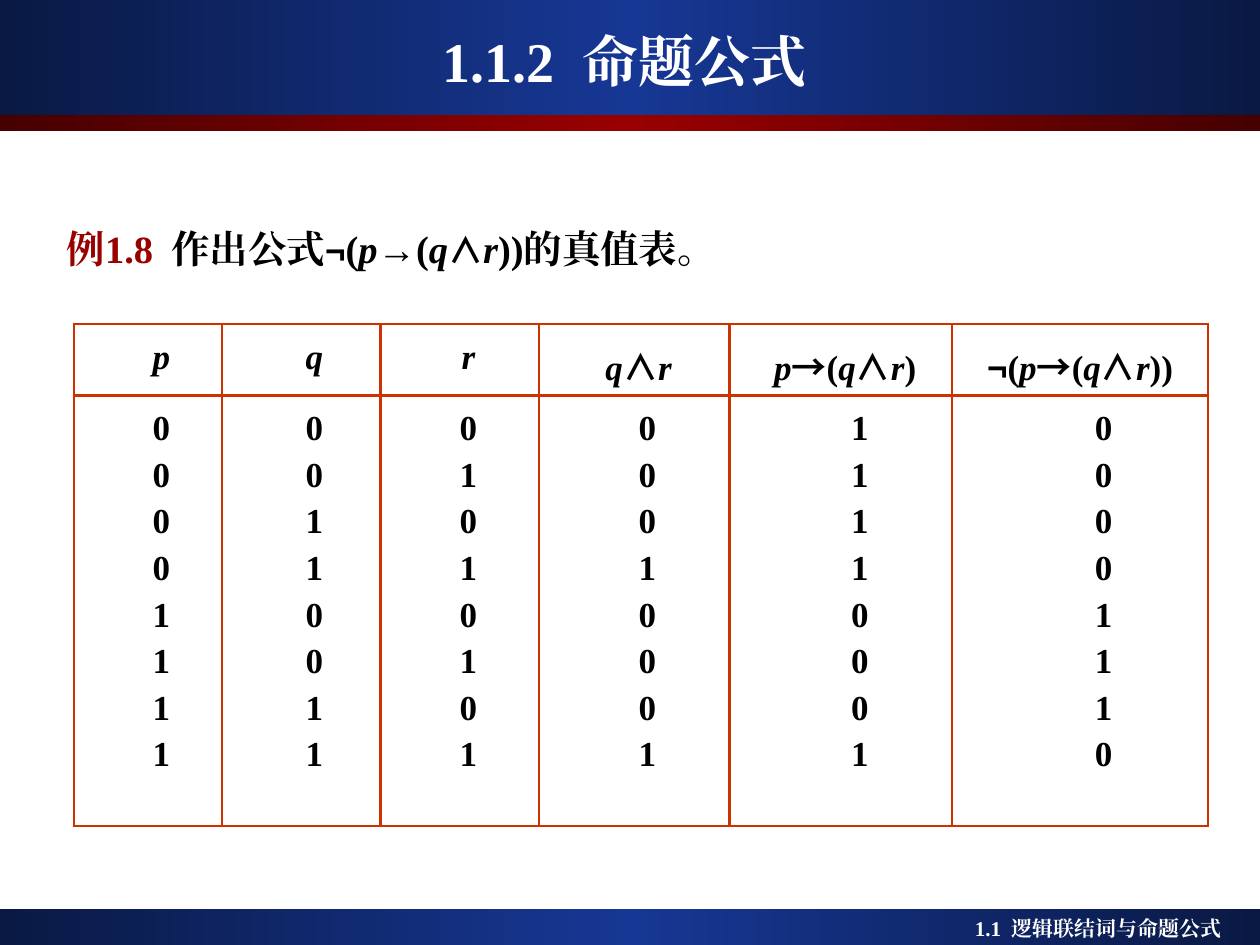
from copy import deepcopy
from itertools import groupby

from lxml import etree
from pptx import Presentation
from pptx.dml import color
from pptx.enum import shapes, text
from pptx.oxml import ns
from pptx.util import Pt

SERIF, SANS, CJK = "Times New Roman", "Arial", "Noto Sans CJK SC"
NAVY, BLUE, MAROON, RED = "0A1944", "163794", "460000", "990000"
WHITE, BLACK, RULE = "FFFFFF", "000000", "CC3300"
SENTENCE_SYMBOLS = {"¬": SANS, "∧": CJK}
TABLE_SYMBOLS = {**SENTENCE_SYMBOLS, "→": CJK}


def rgb(value):
    return color.RGBColor.from_string(value)


def add_run(paragraph, words, size, ink, font=SERIF, italic=False, gap=0):
    """Adds a bold run; gap is extra spacing in points after each letter."""
    run = paragraph.add_run()
    run.text = words
    run.font.size = Pt(size)
    run.font.name = font
    run.font.bold = True
    run.font.italic = italic
    run.font.color.rgb = rgb(ink)
    etree.SubElement(run.font._element, ns.qn("a:ea"), typeface=font)
    if gap:
        run.font._element.set("spc", str(gap * 100))


def add_numbered(paragraph, number, words, size, ink, gap):
    add_run(paragraph, number, size, ink)
    add_run(paragraph, " ", size, ink, gap=gap)
    add_run(paragraph, words, size, ink)


def add_formula(paragraph, formula, size, symbols, symbol_size):
    """Sets variables in italics and logical symbols in their own font."""
    def style(letter):
        return letter in "pqr", symbols.get(letter)

    for (italic, font), letters in groupby(formula, style):
        add_run(paragraph, "".join(letters), symbol_size if font else size,
                BLACK, font or SERIF, italic)


def add_text_box(slide, left, top, width, height):
    frame = slide.shapes.add_textbox(
        Pt(left), Pt(top), Pt(width), Pt(height)).text_frame
    frame.word_wrap = True
    return frame


def add_band(slide, left, top, width, height, edge, middle):
    band = slide.shapes.add_shape(shapes.MSO_SHAPE.RECTANGLE,
                                  Pt(left), Pt(top), Pt(width), Pt(height))
    band.shadow.inherit = False
    band.line.fill.background()
    band.fill.gradient()
    band.fill.gradient_angle = 0
    stop_list = band._element.spPr.find(".//" + ns.qn("a:gsLst"))
    stop_list.append(deepcopy(stop_list[-1]))
    for stop, position, tint in zip(band.fill.gradient_stops,
                                    (0, 0.5, 1), (edge, middle, edge)):
        stop.position = position
        stop.color.rgb = rgb(tint)


def add_header(slide, left, top, width):
    add_band(slide, left, top, width, 65.5, NAVY, BLUE)
    add_band(slide, left, top + 65.5, width, 9.5, MAROON, RED)
    title = add_text_box(slide, left + 24, top + 12, width - 54, 45)
    title.vertical_anchor = text.MSO_ANCHOR.MIDDLE
    title.paragraphs[0].alignment = text.PP_ALIGN.CENTER
    add_numbered(title.paragraphs[0], "1.1.2", "命题公式", 32, WHITE, 8)


def add_footer(slide, left, top, width, height):
    add_band(slide, left, top, width, height, NAVY, BLUE)
    section = add_text_box(slide, left + 550, top, 170, 21.5)
    add_numbered(section.paragraphs[0], "1.1", "逻辑联结词与命题公式", 12, WHITE, 3)


def add_example(slide, left, top, width, height):
    line = add_text_box(slide, left, top, width, height).paragraphs[0]
    line.line_spacing = 1.3
    add_run(line, "例1.8", 22, RED)
    add_run(line, " ", 22, RED, gap=5)
    add_formula(line, "作出公式¬(p→(q∧r))的真值表。", 22, SENTENCE_SYMBOLS, 20)


def style_cell(cell):
    cell.fill.background()
    properties = cell._tc.get_or_add_tcPr()
    for index, side in enumerate(("lnL", "lnR", "lnT", "lnB")):
        border = etree.Element(ns.qn("a:" + side), w=str(Pt(1.5)))
        fill = etree.SubElement(border, ns.qn("a:solidFill"))
        etree.SubElement(fill, ns.qn("a:srgbClr"), val=RULE)
        properties.insert(index, border)


def fill_cell(cell, lines, indent):
    style_cell(cell)
    frame = cell.text_frame
    for index, line in enumerate(lines):
        paragraph = frame.add_paragraph() if index else frame.paragraphs[0]
        paragraph.alignment = text.PP_ALIGN.CENTER
        paragraph.line_spacing = 1.2
        paragraph._p.get_or_add_pPr().set("marL", str(Pt(indent)))
        add_formula(paragraph, line, 20, TABLE_SYMBOLS, 20)


def add_truth_table(slide, left, top, width, height):
    # Heading, truth values from 000 to 111, column width, two indents
    columns = [
        ("p", "00001111", 84.5, 15, 15),
        ("q", "00110011", 90.5, 15, 15),
        ("r", "01010101", 90.5, 10, 10),
        ("q∧r", "00010001", 109, 5, 15),
        ("p→(q∧r)", "11110001", 127, 5, 22),
        ("¬(p→(q∧r))", "00001110", 146.5, 0, 27),
    ]
    table = slide.shapes.add_table(2, len(columns), Pt(left), Pt(top),
                                   Pt(width), Pt(height)).table
    table.first_row = table.horz_banding = False
    table.rows[0].height = Pt(41)
    table.rows[1].height = Pt(height - 41)
    for index, (heading, values, span, head_indent, indent) in enumerate(columns):
        table.columns[index].width = Pt(span)
        fill_cell(table.cell(0, index), [heading], head_indent)
        fill_cell(table.cell(1, index), values, indent)


def main():
    deck = Presentation()
    deck.slide_width, deck.slide_height = Pt(720), Pt(540)
    slide = deck.slides.add_slide(deck.slide_layouts[6])
    add_footer(slide, 0, 519.5, 720, 20.5)
    add_header(slide, 0, 0, 720)
    add_truth_table(slide, 42.5, 185, 648, 287)
    add_example(slide, 31, 117, 642, 42)
    deck.save("out.pptx")


if __name__ == "__main__":
    main()
